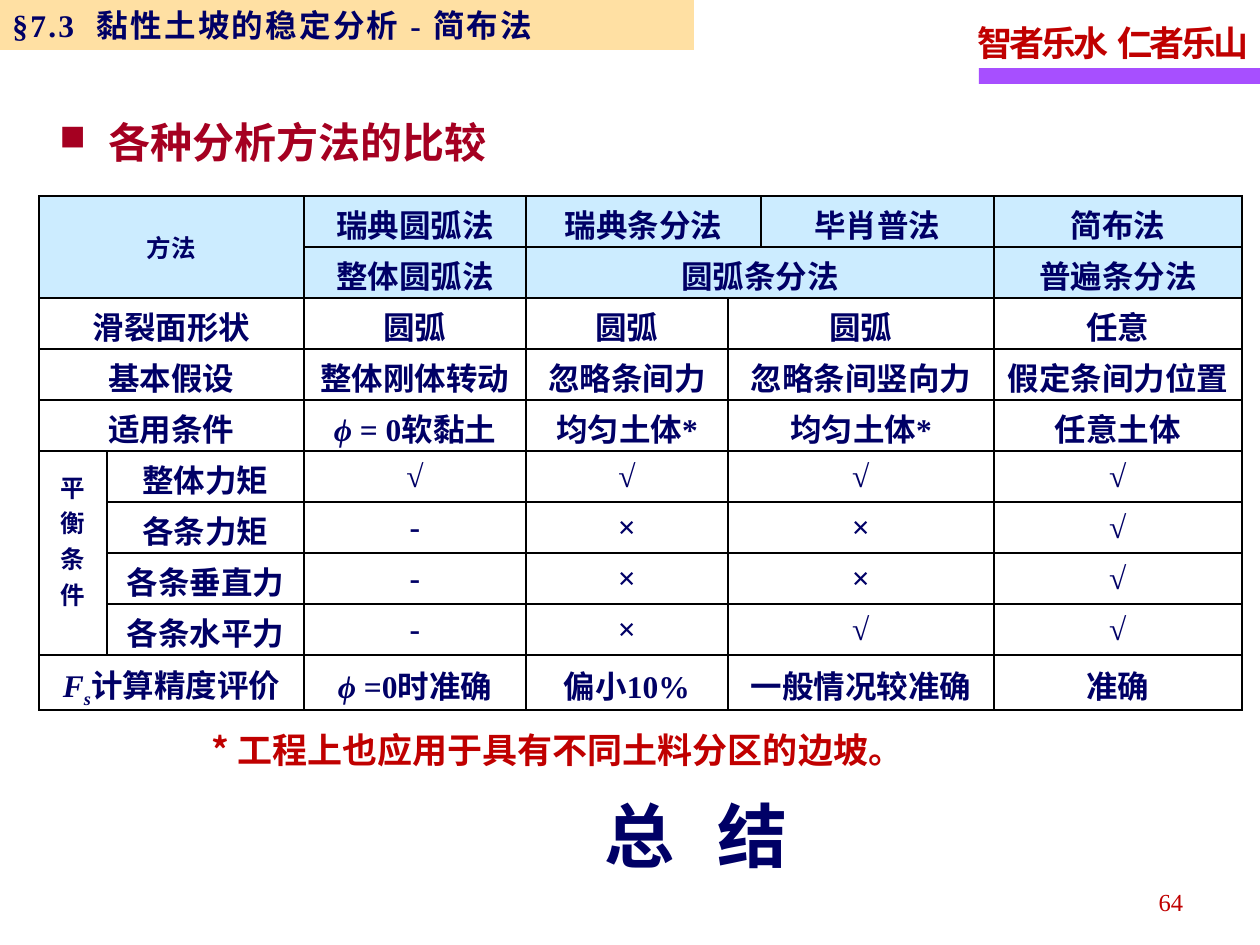
"""Build the slide comparing slope stability analysis methods."""
import dataclasses
import typing

import lxml.etree
import pptx
import pptx.dml.color
import pptx.enum.shapes
import pptx.enum.text
import pptx.oxml.ns
import pptx.util

ALIGN = pptx.enum.text.PP_ALIGN
MIDDLE = pptx.enum.text.MSO_ANCHOR.MIDDLE
qn = pptx.oxml.ns.qn


@dataclasses.dataclass(frozen=True)
class Theme:
    navy: str = "000066"
    red: str = "C00000"
    crimson: str = "A50021"
    purple: str = "A74FFF"
    sand: str = "FFCC66"
    sky: str = "CCECFF"
    black: str = "000000"
    serif: str = "Times New Roman"
    sans: str = "Noto Sans CJK SC"
    small: int = 14
    body: int = 18
    note: int = 20
    heading: int = 24
    summary: int = 40


THEME = Theme()


class Run(typing.NamedTuple):
    text: str
    italic: bool = False
    baseline: int = 0
    spacing: int = 0


@dataclasses.dataclass(frozen=True)
class Style:
    size: int
    color: str
    font: str = THEME.serif
    bold: bool = True
    align: ALIGN = ALIGN.LEFT


class Label(typing.NamedTuple):
    box: tuple[int, int, int, int]
    runs: list[Run]
    style: Style
    wrap: bool = True
    bullet: bool = False
    right: int = 13


class Entry(typing.NamedTuple):
    row: int
    col: int
    runs: list[Run]
    rows: int = 1
    cols: int = 1
    size: int = THEME.body
    top: int = 5
    bottom: int = 0


LABELS = [
    Label((965, 12, 295, 62),
          [Run("智者乐水", spacing=-170), Run(" ", spacing=20), Run("仁者乐山", spacing=-170)],
          Style(THEME.note, THEME.red), right=0),
    Label((902, 877, 294, 50), [Run("64")],
          Style(THEME.small, THEME.red, bold=False, align=ALIGN.RIGHT)),
    Label((333, 786, 727, 97), [Run("总 结", spacing=800)],
          Style(THEME.summary, THEME.navy, align=ALIGN.CENTER)),
    Label((47, 104, 505, 75), [Run("各种分析方法的比较")],
          Style(THEME.heading, THEME.crimson, THEME.sans), bullet=True),
    Label((199, 722, 737, 55), [Run("* 工程上也应用于具有不同土料分区的边坡。")],
          Style(THEME.note, THEME.red, THEME.sans), wrap=False),
]

TABLE_LEFT, TABLE_TOP = 39, 196
COLUMNS = [68, 197, 222, 202, 33, 233, 248]
ROWS = [51] * 9 + [55]
HEADER_ROWS = 2

HEADER = [
    Entry(0, 0, [Run("方法")], rows=2, cols=2, size=THEME.small, top=0),
    Entry(0, 2, [Run("瑞典圆弧法")]),
    Entry(0, 3, [Run("瑞典条分法")], cols=2),
    Entry(0, 5, [Run("毕肖普法")]),
    Entry(0, 6, [Run("简布法")]),
    Entry(1, 2, [Run("整体圆弧法")]),
    Entry(1, 3, [Run("圆弧条分法")], cols=3),
    Entry(1, 6, [Run("普遍条分法")]),
]
BALANCE = Entry(5, 0, [Run("平衡条件")], rows=4, size=THEME.small, top=0, bottom=26)
PHI = Run("ϕ ", italic=True)
ACCURACY = [Run("F", italic=True), Run("s", italic=True, baseline=-25000), Run("计算精度评价")]
COMPARISON = [
    ([Run("滑裂面形状")], [Run("圆弧")], "圆弧", "圆弧", "任意"),
    ([Run("基本假设")], [Run("整体刚体转动")], "忽略条间力", "忽略条间竖向力", "假定条间力位置"),
    ([Run("适用条件")], [PHI, Run("= 0软黏土")], "均匀土体*", "均匀土体*", "任意土体"),
    ([Run("整体力矩")], [Run("√")], "√", "√", "√"),
    ([Run("各条力矩")], [Run("-")], "×", "×", "√"),
    ([Run("各条垂直力")], [Run("-")], "×", "×", "√"),
    ([Run("各条水平力")], [Run("-")], "×", "√", "√"),
    (ACCURACY, [PHI, Run("=0时准确")], "偏小10%", "一般情况较准确", "准确"),
]


def px(length: int) -> pptx.util.Emu:
    return pptx.util.Emu(round(length * 914400 / 126))


def rgb(color: str) -> pptx.dml.color.RGBColor:
    return pptx.dml.color.RGBColor.from_string(color)


def assign(target: typing.Any, values: dict[str, typing.Any]) -> None:
    for name, value in values.items():
        setattr(target, name, value)


def write(frame: typing.Any, runs: list[Run], style: Style) -> None:
    paragraph = frame.paragraphs[0]
    paragraph.alignment = style.align
    for part in runs:
        run = paragraph.add_run()
        run.text = part.text
        assign(run.font, {"name": style.font, "size": pptx.util.Pt(style.size),
                          "bold": style.bold, "italic": part.italic})
        run.font.color.rgb = rgb(style.color)
        properties = run.font._element
        lxml.etree.SubElement(properties, qn("a:ea"), typeface=THEME.sans)
        for name, value in {"baseline": part.baseline, "spc": part.spacing}.items():
            if value:
                properties.set(name, str(value))


def add_bullet(paragraph: typing.Any) -> None:
    properties = paragraph._p.get_or_add_pPr()
    indent = px(49)
    for name, value in {"marL": indent, "indent": -indent}.items():
        properties.set(name, str(value))
    color = lxml.etree.SubElement(properties, qn("a:buClr"))
    lxml.etree.SubElement(color, qn("a:srgbClr"), val=THEME.crimson)
    lxml.etree.SubElement(properties, qn("a:buSzPct"), val="85000")
    lxml.etree.SubElement(properties, qn("a:buChar"), char="■")


def add_label(slide: typing.Any, label: Label) -> None:
    frame = slide.shapes.add_textbox(*map(px, label.box)).text_frame
    assign(frame, {"word_wrap": label.wrap, "vertical_anchor": MIDDLE,
                   "margin_right": px(label.right)})
    if label.bullet:
        add_bullet(frame.paragraphs[0])
    write(frame, label.runs, label.style)


def add_bar(slide: typing.Any, box: tuple[int, int, int, int], color: str) -> typing.Any:
    bar = slide.shapes.add_shape(pptx.enum.shapes.MSO_SHAPE.RECTANGLE, *map(px, box))
    bar.shadow.inherit = False
    bar.fill.solid()
    bar.fill.fore_color.rgb = rgb(color)
    bar.line.fill.background()
    return bar


def add_section(slide: typing.Any) -> None:
    section = add_bar(slide, (0, 0, 694, 50), THEME.sand)
    tint = section._element.spPr.find(qn("a:solidFill")).find(qn("a:srgbClr"))
    lxml.etree.SubElement(tint, qn("a:alpha"), val="60000")
    assign(section.text_frame, {"word_wrap": True, "vertical_anchor": MIDDLE})
    title = [Run("§7.3", spacing=130), Run(" ", spacing=710),
             Run("黏性土坡的稳定分析 - 简布法", spacing=130)]
    write(section.text_frame, title, Style(THEME.body, THEME.navy))


def comparison_entries() -> typing.Iterator[Entry]:
    yield from HEADER
    yield BALANCE
    for row, (topic, whole, *others) in enumerate(COMPARISON, HEADER_ROWS):
        balanced = BALANCE.row <= row < BALANCE.row + BALANCE.rows
        yield Entry(row, int(balanced), topic, cols=1 if balanced else 2)
        swedish, bishop, janbu = ([Run(text)] for text in others)
        for col, runs, cols in ((2, whole, 1), (3, swedish, 1), (4, bishop, 2), (6, janbu, 1)):
            yield Entry(row, col, runs, cols=cols, top=0 if balanced else 5)


def format_cell(cell: typing.Any, header: bool) -> None:
    properties = cell._tc.get_or_add_tcPr()
    for side in ("a:lnL", "a:lnR", "a:lnT", "a:lnB"):
        border = lxml.etree.SubElement(properties, qn(side), w="12700")
        paint = lxml.etree.SubElement(border, qn("a:solidFill"))
        lxml.etree.SubElement(paint, qn("a:srgbClr"), val=THEME.black)
    if header:
        cell.fill.solid()
        cell.fill.fore_color.rgb = rgb(THEME.sky)
    else:
        cell.fill.background()


def add_comparison(slide: typing.Any) -> None:
    box = (TABLE_LEFT, TABLE_TOP, sum(COLUMNS), sum(ROWS))
    table = slide.shapes.add_table(len(ROWS), len(COLUMNS), *map(px, box)).table
    assign(table, {"first_row": False, "horz_banding": False})
    for column, width in zip(table.columns, COLUMNS):
        column.width = px(width)
    for index, (row, height) in enumerate(zip(table.rows, ROWS)):
        row.height = px(height)
        for cell in row.cells:
            format_cell(cell, index < HEADER_ROWS)
            assign(cell, {"margin_top": 0, "margin_bottom": 0})
            cell.text_frame.paragraphs[0].font.size = pptx.util.Pt(THEME.small)
    for entry in comparison_entries():
        cell = table.cell(entry.row, entry.col)
        if entry.rows * entry.cols > 1:
            cell.merge(table.cell(entry.row + entry.rows - 1, entry.col + entry.cols - 1))
        assign(cell, {"vertical_anchor": MIDDLE, "margin_left": px(12), "margin_right": px(12),
                      "margin_top": px(entry.top), "margin_bottom": px(entry.bottom)})
        write(cell.text_frame, entry.runs, Style(entry.size, THEME.navy, align=ALIGN.CENTER))


def main() -> None:
    deck = pptx.Presentation()
    assign(deck, {"slide_width": px(1260), "slide_height": px(945)})
    slide = deck.slides.add_slide(deck.slide_layouts[6])
    add_bar(slide, (979, 68, 281, 16), THEME.purple)
    add_section(slide)
    add_comparison(slide)
    for label in LABELS:
        add_label(slide, label)
    deck.save("out.pptx")


if __name__ == "__main__":
    main()
